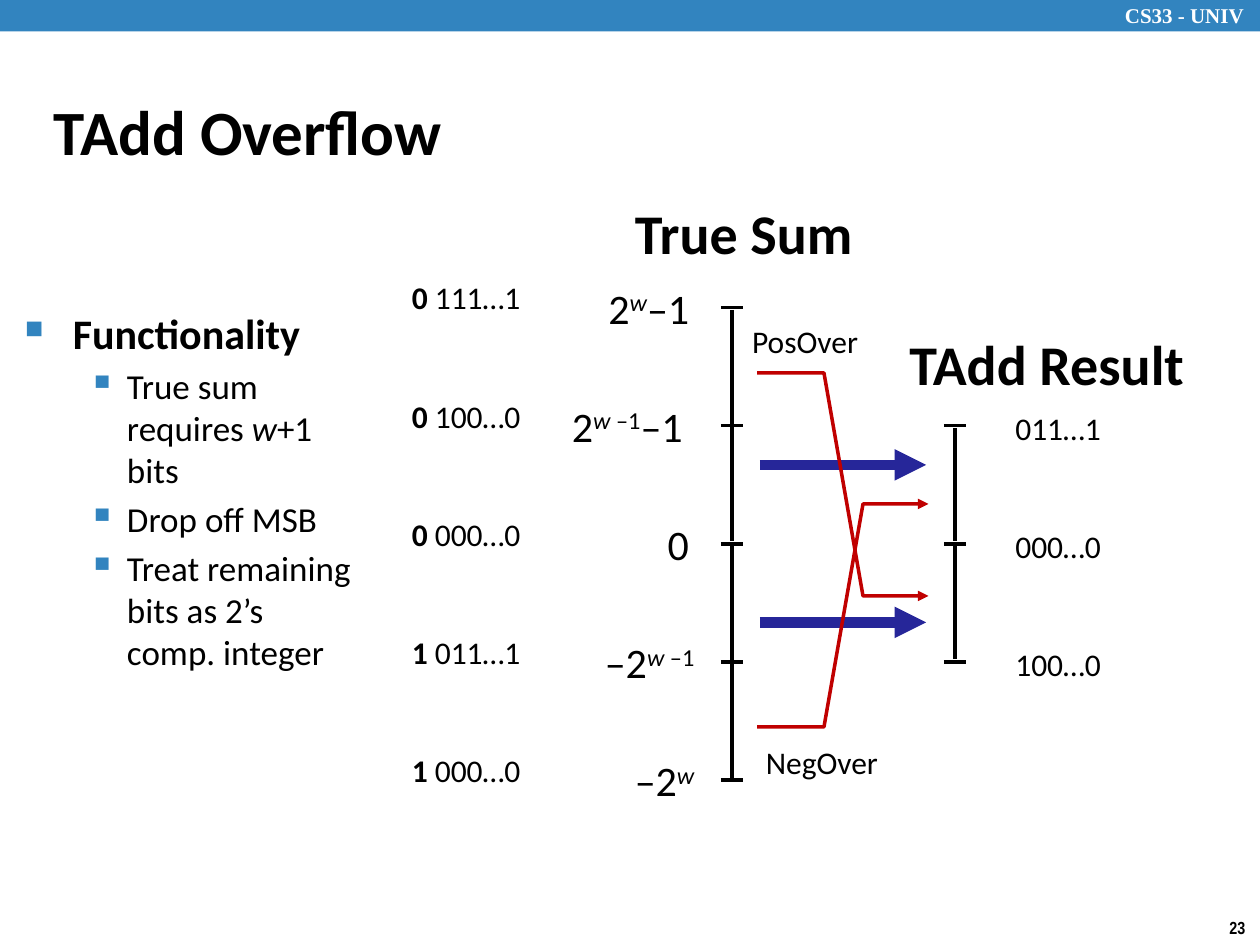
from lxml.etree import SubElement
from pptx import Presentation
from pptx.dml.color import RGBColor
from pptx.enum.shapes import MSO_CONNECTOR as Connector, MSO_SHAPE as Shape
from pptx.enum.text import MSO_ANCHOR as Anchor, PP_ALIGN as Align
from pptx.oxml.ns import qn
from pptx.util import Inches, Pt

COLUMNS, ROWS = 100, 75
BLACK, WHITE, SKY, NAVY, RED = "000000", "FFFFFF", "3284BF", "262699", "C00000"


def color(value):
    """Turn a hex string into a colour."""
    return RGBColor.from_string(value)


class Board:
    """Style and current slide; lengths are columns and rows of the grid."""

    def __init__(self, deck, font="Calibri"):
        """Start a blank slide and measure its grid cells."""
        self.font = font
        self.cell_w = deck.slide_width / COLUMNS
        self.cell_h = deck.slide_height / ROWS
        self.shapes = deck.slides.add_slide(deck.slide_layouts[6]).shapes

    def place(self, *cells):
        """Convert alternating columns and rows to slide lengths."""
        return [round(cell * (self.cell_h if i % 2 else self.cell_w))
                for i, cell in enumerate(cells)]

    def band(self, box, fill):
        """Draw a filled rectangle without outline."""
        band = self.shapes.add_shape(Shape.RECTANGLE, *self.place(*box))
        band.shadow.inherit = False
        band.fill.solid()
        band.fill.fore_color.rgb = color(fill)
        band.line.fill.background()

    def frame(self, box, wrap=False, anchor=Anchor.TOP):
        """Add an empty text box and return its text frame."""
        frame = self.shapes.add_textbox(*self.place(*box)).text_frame
        frame.word_wrap = wrap
        frame.vertical_anchor = anchor
        return frame

    def fill_text(self, paragraph, runs, size, ink=BLACK, font=None, bold=None):
        """Fill a paragraph; run marks are b bold, i italic, ^ superscript."""
        paragraph.font.size = Pt(size)
        paragraph.font.name = font or self.font
        paragraph.font.color.rgb = color(ink)
        paragraph.font.bold = bold
        for words, marks in runs:
            run = paragraph.add_run()
            run.text = words
            if "b" in marks:
                run.font.bold = True
            if "i" in marks:
                run.font.italic = True
            if "^" in marks:
                run.font._element.set("baseline", "30000")

    def label(self, box, runs, size, align=Align.LEFT, wrap=False,
              anchor=Anchor.TOP, **style):
        """Add a text box of one paragraph, from a string or marked runs."""
        paragraph = self.frame(box, wrap, anchor).paragraphs[0]
        paragraph.alignment = align
        runs = [(runs, "")] if isinstance(runs, str) else runs
        self.fill_text(paragraph, runs, size, **style)

    def bullets(self, box, items):
        """Add a bulleted list of (level, runs) items."""
        levels = [(24, 0.38, 0.38, "■", 60, True), (20, 0.81, 0.31, "▪", 110, None)]
        frame = self.frame(box, wrap=True)
        for number, (level, runs) in enumerate(items):
            size, margin, hang, mark, percent, bold = levels[level]
            paragraph = frame.add_paragraph() if number else frame.paragraphs[0]
            paragraph.level = level
            paragraph.space_before = Pt(size * 0.2)
            self.fill_text(paragraph, runs, size, bold=bold)
            props = paragraph._p.get_or_add_pPr()
            props.set("marL", str(Inches(margin)))
            props.set("indent", str(-Inches(hang)))
            tint = SubElement(props, qn("a:buClr"))
            SubElement(tint, qn("a:srgbClr"), val=SKY)
            scale = SubElement(props, qn("a:buSzPct"), val=str(percent * 1000))
            sign = SubElement(props, qn("a:buChar"), char=mark)
            defaults = props.find(qn("a:defRPr"))
            for part in (tint, scale, sign):
                defaults.addprevious(part)

    def stroke(self, shape, ink, width, arrow):
        """Style a line, with an arrowhead at its end if asked."""
        shape.line.color.rgb = color(ink)
        shape.line.width = Pt(width)
        if arrow:
            SubElement(shape.line._get_or_add_ln(), qn("a:tailEnd"), type="triangle")

    def line(self, start, end, ink=BLACK, width=2, arrow=False):
        """Draw a straight line."""
        line = self.shapes.add_connector(Connector.STRAIGHT, *self.place(*start, *end))
        self.stroke(line, ink, width, arrow)
        SubElement(line._element.spPr, qn("a:effectLst"))

    def bent_arrow(self, points, ink, width=2):
        """Draw an open line through points, ending in an arrowhead."""
        start, *others = [self.place(*point) for point in points]
        builder = self.shapes.build_freeform(*start)
        builder.add_line_segments(others, close=False)
        arrow = builder.convert_to_shape()
        arrow.fill.background()
        self.stroke(arrow, ink, width, True)
        arrow.shadow.inherit = False


def tick_row(tick):
    """Return the grid row of a tick, counted from the top of the scale."""
    return 24.4 + 9.38 * tick


def draw_axis(board, column, first, last, middle=2):
    """Draw a vertical scale in two halves that meet at zero."""
    for top, bottom in ((first, middle), (middle, last)):
        board.line((column, tick_row(top) + 0.2), (column, tick_row(bottom) - 0.2))
    for tick in range(first, last + 1):
        board.line((column - 0.88, tick_row(tick)), (column + 0.88, tick_row(tick)))


deck = Presentation()
deck.slide_width, deck.slide_height = Inches(10), Inches(7.5)
board = Board(deck)

board.band((0, 0, COLUMNS, 2.5), SKY)
board.label((88.3, -0.3, 12.4, 3), "CS33 - UNIV", 12, wrap=True,
            ink=WHITE, font="Times New Roman", bold=True)
board.label((96.6, 72.3, 3.4, 2.7), "23", 10, font="Arial Narrow", bold=True)
board.label((3.3, 7.3, 73.9, 6.1), "TAdd Overflow", 36, wrap=True,
            anchor=Anchor.MIDDLE, bold=True)
board.bullets((1, 23.9, 28.3, 35.5), [
    (0, [("Functionality", "")]),
    (1, [("True sum requires ", ""), ("w", "i"), ("+1 bits", "")]),
    (1, [("Drop off MSB", "")]),
    (1, [("Treat remaining bits as 2’s comp. integer", "")]),
])

board.label((49.4, 15.3, 19.4, 6.4), "True Sum", 32, bold=True)
board.label((71.2, 25.7, 24, 6.4), "TAdd Result", 32, bold=True)

sum_values = [
    (47.3, 8.7, Align.LEFT, [("2", ""), ("w", "i^"), ("–1", "")]),
    (44.4, 14.9, Align.LEFT, [("2", ""), ("w ", "i^"), ("–1", "^"), ("–1", "")]),
    (52, 3.7, Align.LEFT, [("0", "")]),
    (46.3, 9.8, Align.RIGHT, [("–2", ""), ("w ", "i^"), ("–1", "^")]),
    (49.1, 7, Align.RIGHT, [("–2", ""), ("w", "i^")]),
]
for tick, (left, width, align, runs) in enumerate(sum_values):
    board.label((left, tick_row(tick) - 2.5, width, 5), runs, 24, align)

sum_bits = ["0 111…1", "0 100…0", "0 000…0", "1 011…1", "1 000…0"]
for tick, bits in enumerate(sum_bits):
    board.label((31.7, tick_row(tick) - 2.8, 10.7, 4),
                [(bits[0], "b"), (bits[1:], "")], 18)

for tick, bits in enumerate(["011…1", "000…0", "100…0"], start=1):
    board.label((79.6, tick_row(tick) - 1.8, 8.9, 4), bits, 18)

draw_axis(board, 58.1, 0, 4)
draw_axis(board, 75.8, 1, 3)

for row in (36.9, 49.4):
    board.line((60.3, row), (73.5, row), NAVY, 6, arrow=True)
for start, end in ((29.6, 47.3), (57.7, 40)):
    board.bent_arrow([(60.1, start), (65.4, start), (68.5, end), (73.7, end)], RED)

board.label((58.7, 25.1, 10.5, 4), "PosOver", 18)
board.label((59.8, 58.5, 11, 4), "NegOver", 18)

deck.save("out.pptx")
